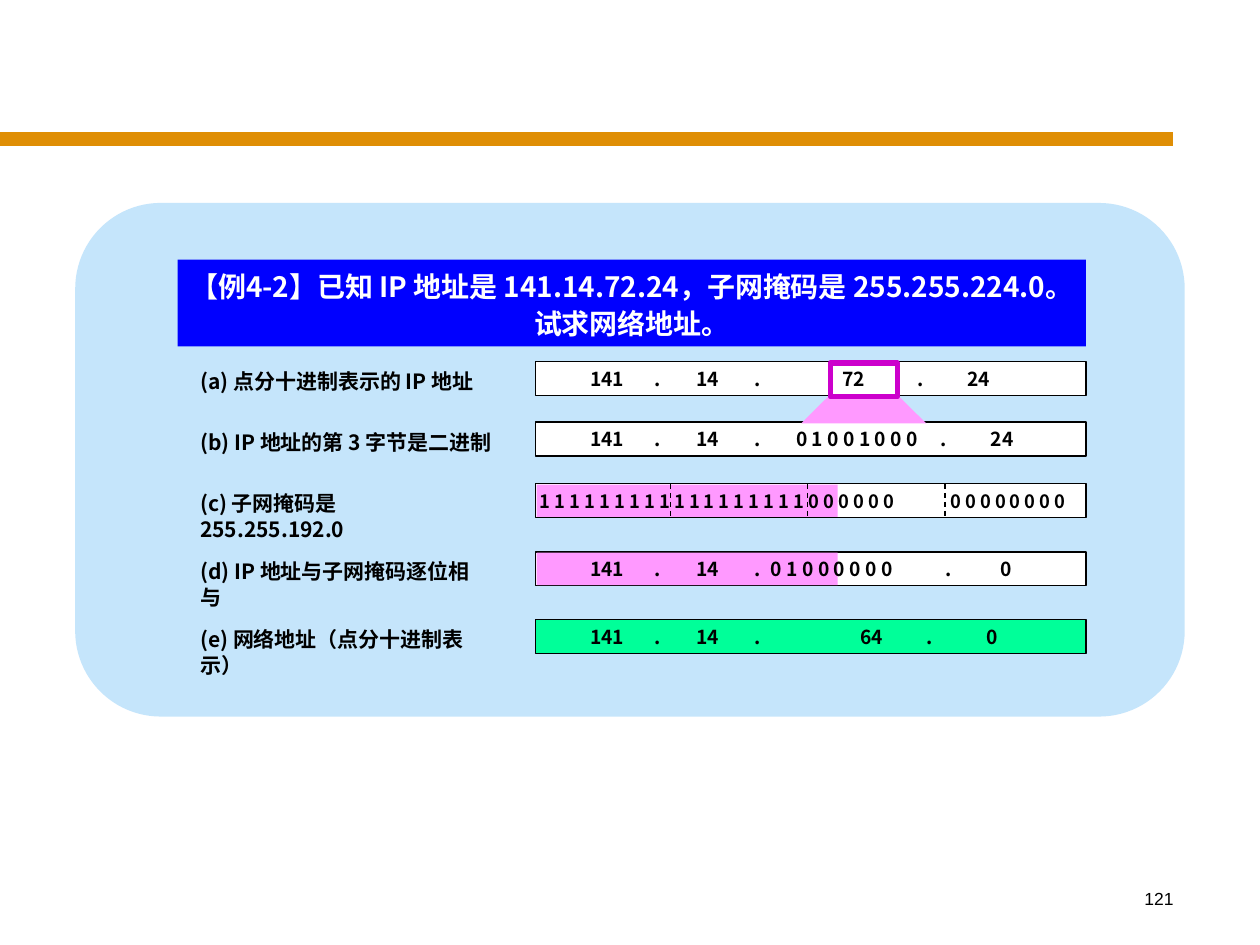
from lxml.etree import SubElement
from pptx import Presentation
from pptx.dml.color import RGBColor
from pptx.enum.dml import MSO_LINE
from pptx.enum.shapes import MSO_CONNECTOR, MSO_SHAPE
from pptx.enum.text import MSO_ANCHOR as Anchor, PP_ALIGN as Align
from pptx.oxml.ns import qn
from pptx.util import Pt

CJK = "Noto Sans CJK SC"
BLACK, WHITE, PINK, GREEN = "000000", "FFFFFF", "FF99FF", "00FF99"
TITLE = "【例4-2】已知 IP 地址是 141.14.72.24，子网掩码是 255.255.224.0。试求网络地址。"
BAR_LEFT, BAR_WIDTH, BAR_HEIGHT = 306.2, 314.4, 19.4
MASKED_WIDTH = 172
LABEL_LEFT = 107.3
HEAD = [("141", 347), (".", 376), ("14", 404.3), (".", 432.8)]

# label, label width, top, bar fill, masked part shown, text size, (text, centre x)
ROWS = [
    ("(a) 点分十进制表示的 IP 地址", 173, 206.6, WHITE, False, 11,
     HEAD + [("72", 488), (".", 526.3), ("24", 559.4)]),
    ("(b) IP 地址的第 3 字节是二进制", 184, 241.2, WHITE, False, 11,
     HEAD + [("0 1 0 0 1 0 0 0", 489.7), (".", 539.4), ("24", 572.6)]),
    ("(c) 子网掩码是 255.255.192.0", 173, 276.5, WHITE, True, 10.5,
     [("1 1 1 1 1 1 1 1 1 1 1 1 1 1 1 1 1 1 0 0 0 0 0 0", 409.7),
      ("0 0 0 0 0 0 0 0", 576)]),
    ("(d) IP 地址与子网掩码逐位相与", 173, 315.4, WHITE, True, 11,
     HEAD + [("0 1 0 0 0 0 0 0", 475.4), (".", 542.3), ("0", 574.9)]),
    ("(e) 网络地址（点分十进制表示）", 173, 354.2, GREEN, False, 11,
     HEAD + [("64", 498.3), (".", 531.4), ("0", 566.9)]),
]
BYTE_BORDERS = [383, 461.5, 540]
BYTE_BORDER_TOP = 276.5
FUNNEL = [(474.5, 225.4), (512.6, 225.4), (529.2, 241.9), (457.9, 241.9)]

prs = Presentation()
prs.slide_width, prs.slide_height = Pt(720), Pt(540)
shapes = prs.slides.add_slide(prs.slide_layouts[6]).shapes


def rgb(color):
    return RGBColor.from_string(color)


def paint(shape, fill=None, line=None, weight=0.75):
    shape.shadow.inherit = False
    if fill:
        shape.fill.solid()
        shape.fill.fore_color.rgb = rgb(fill)
    else:
        shape.fill.background()
    if line:
        shape.line.color.rgb = rgb(line)
        shape.line.width = Pt(weight)
    else:
        shape.line.fill.background()
    return shape


def add_box(x, y, w, h, *style, kind=MSO_SHAPE.RECTANGLE):
    return paint(shapes.add_shape(kind, Pt(x), Pt(y), Pt(w), Pt(h)), *style)


def add_line(x1, y1, x2, y2, color, weight):
    line = shapes.add_connector(MSO_CONNECTOR.STRAIGHT, Pt(x1), Pt(y1), Pt(x2), Pt(y2))
    line.line.color.rgb = rgb(color)
    line.line.width = Pt(weight)
    SubElement(line.element.spPr, qn("a:effectLst"))
    return line


def write(shape, text, size, align=Align.LEFT, anchor=Anchor.TOP, color=BLACK,
          font=CJK, bold=True, wrap=True, spacing=None):
    frame = shape.text_frame
    frame.text = text
    frame.word_wrap = wrap
    frame.vertical_anchor = anchor
    paragraph = frame.paragraphs[0]
    paragraph.alignment = align
    if spacing:
        paragraph.line_spacing = Pt(spacing)
    run_font = paragraph.runs[0].font
    run_font.size, run_font.bold, run_font.name = Pt(size), bold, font
    run_font.color.rgb = rgb(color)
    SubElement(paragraph.runs[0].font._element, qn("a:ea"), typeface=font)


def add_text(x, y, w, h, *args, **style):
    write(shapes.add_textbox(Pt(x), Pt(y), Pt(w), Pt(h)), *args, **style)


add_line(0, 79.5, 670.3, 79.5, "DF8E05", 8)
add_text(527.8, 504, 149.8, 36, "121", 10, Align.RIGHT, font="Arial", bold=False)
add_box(43, 116, 634, 293.5, "C5E5FB", kind=MSO_SHAPE.ROUNDED_RECTANGLE)
title = add_box(101.5, 148.3, 519, 49.7, "0000FF")
write(title, TITLE, 16, Align.CENTER, Anchor.MIDDLE, WHITE, spacing=21.1)

for label, label_width, top, fill, masked, size, parts in ROWS:
    add_box(BAR_LEFT, top, BAR_WIDTH, BAR_HEIGHT, fill, BLACK)
    if masked:
        add_box(BAR_LEFT + 0.5, top + 0.4, MASKED_WIDTH, BAR_HEIGHT - 0.8, PINK)
    add_text(LABEL_LEFT, top + 0.5, label_width, 36, label, 12, spacing=14.4)

for x in BYTE_BORDERS:
    border = add_line(x, BYTE_BORDER_TOP, x, BYTE_BORDER_TOP + BAR_HEIGHT, BLACK, 0.75)
    border.line.dash_style = MSO_LINE.DASH

funnel = shapes.build_freeform(Pt(FUNNEL[0][0]), Pt(FUNNEL[0][1]))
funnel.add_line_segments([(Pt(x), Pt(y)) for x, y in FUNNEL[1:]], close=True)
paint(funnel.convert_to_shape(), PINK)
add_box(474.5, 207.4, 38.2, 19.4, None, "CC00CC", 3)

for *_, top, _, _, size, parts in ROWS:
    for text, centre in parts:
        width = 8 * len(text) + 16
        add_text(centre - width / 2, top, width, BAR_HEIGHT, text, size,
                 Align.CENTER, Anchor.MIDDLE, wrap=False)

prs.save("out.pptx")
